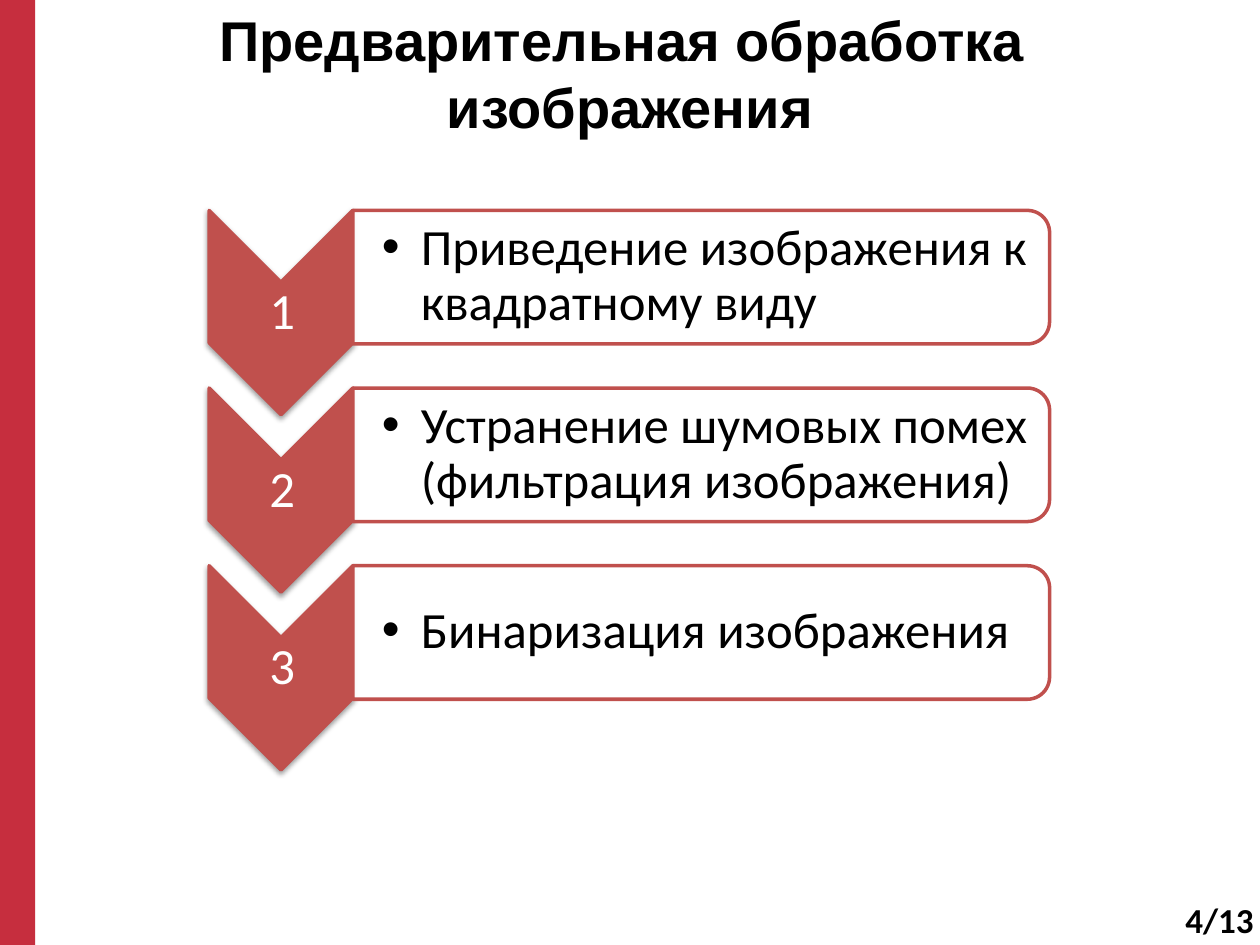
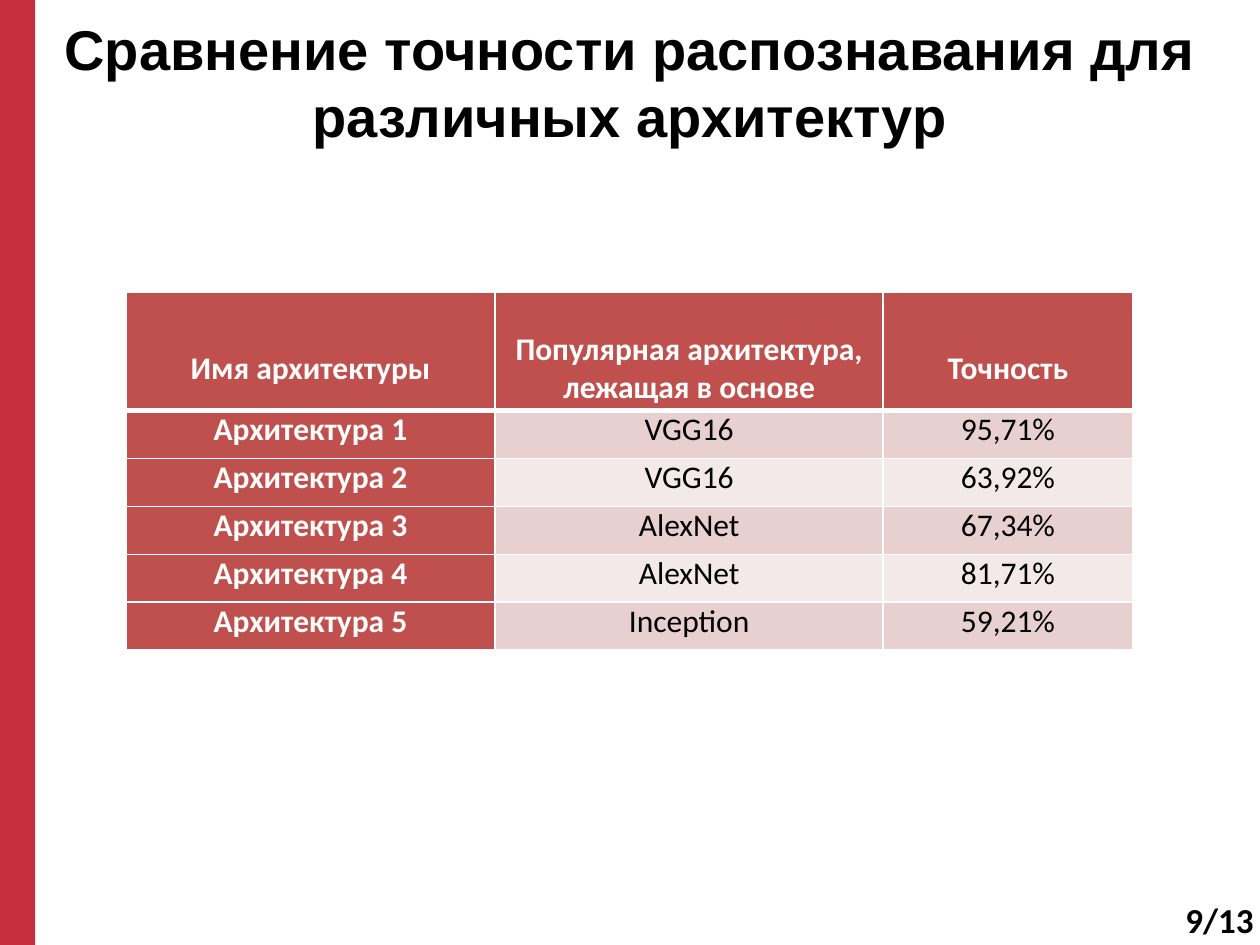
"""Builds two slides on image preprocessing and recognition accuracy."""
from dataclasses import dataclass

from lxml.etree import SubElement
from pptx import Presentation
from pptx.dml.color import RGBColor
from pptx.enum.shapes import MSO_SHAPE
from pptx.enum.text import MSO_ANCHOR, MSO_AUTO_SIZE, PP_ALIGN
from pptx.oxml.ns import qn
from pptx.util import Inches, Pt


@dataclass(frozen=True)
class Theme:
    band: str = "C62E3E"
    accent: str = "C0504D"
    odd_row: str = "E8D0D0"
    even_row: str = "F4E9E9"
    white: str = "FFFFFF"
    black: str = "000000"
    title_font: str = "Arial"
    body_font: str = "Calibri"
    title_size: int = 32
    step_size: int = 29
    page_size: int = 20
    table_size: int = 18


class Deck:
    def __init__(self, theme):
        self.theme = theme
        self.presentation = Presentation()
        self.presentation.slide_width = Inches(10)
        self.presentation.slide_height = Inches(7.5)
        self.slide = None

    def add_text(self, paragraph, text, size, color, bold=False, font=None,
                 align=PP_ALIGN.CENTER):
        paragraph.alignment = align
        run = paragraph.add_run()
        run.text = text
        run.font.name = font or self.theme.body_font
        run.font.size = Pt(size)
        run.font.bold = bold
        run.font.color.rgb = RGBColor.from_string(color)

    def start(self, title_lines, title_top, title_height, page):
        theme = self.theme
        self.slide = self.presentation.slides.add_slide(self.presentation.slide_layouts[5])
        self.shape(MSO_SHAPE.RECTANGLE, 0, 0, 0.28, 7.5, theme.band)
        title = self.slide.shapes.title
        title.left, title.top = Inches(0), Inches(title_top)
        title.width, title.height = Inches(10), Inches(title_height)
        frame = title.text_frame
        frame.auto_size = MSO_AUTO_SIZE.NONE
        frame.vertical_anchor = MSO_ANCHOR.MIDDLE
        for index, line in enumerate(title_lines):
            paragraph = frame.add_paragraph() if index else frame.paragraphs[0]
            self.add_text(paragraph, line, theme.title_size, theme.black, True,
                          theme.title_font)
        self.add_text(self.text_area(8.07, 7.1, 3.17, 0.4), page,
                      theme.page_size, theme.black, True)

    def shape(self, kind, left, top, width, height, fill, outline=None):
        shape = self.slide.shapes.add_shape(
            kind, Inches(left), Inches(top), Inches(width), Inches(height))
        shape.shadow.inherit = False
        shape.fill.solid()
        shape.fill.fore_color.rgb = RGBColor.from_string(fill)
        if outline:
            shape.line.color.rgb = RGBColor.from_string(outline)
            shape.line.width = Pt(2)
        else:
            shape.line.fill.background()
        return shape

    def turned_shape(self, kind, left, top, width, height, fill):
        shift = (width - height) / 2
        shape = self.shape(kind, left + shift, top - shift, height, width,
                           fill, self.theme.accent)
        shape.rotation = 90
        return shape

    def text_area(self, left, top, width, height, left_inset=0.1, inset=0.05):
        frame = self.slide.shapes.add_textbox(
            Inches(left), Inches(top), Inches(width), Inches(height)).text_frame
        frame.word_wrap = True
        frame.vertical_anchor = MSO_ANCHOR.MIDDLE
        frame.margin_left = Inches(left_inset)
        frame.margin_right = frame.margin_top = frame.margin_bottom = Inches(inset)
        return frame.paragraphs[0]

    def cast_shadow(self, shape):
        effects = shape._element.spPr.find(qn("a:effectLst"))
        shadow = SubElement(effects, qn("a:outerShdw"), blurRad=str(Pt(3.1)),
                            dist=str(Pt(1.6)), dir="5400000", rotWithShape="0")
        color = SubElement(shadow, qn("a:srgbClr"), val=self.theme.black)
        SubElement(color, qn("a:alpha"), val="38000")

    def make_translucent(self, shape, percent):
        color = shape._element.spPr.find(qn("a:solidFill")).find(qn("a:srgbClr"))
        SubElement(color, qn("a:alpha"), val=str(percent * 1000))

    def step(self, number, text, top):
        theme = self.theme
        chevron = self.turned_shape(MSO_SHAPE.CHEVRON, 1.66, top, 1.14, 1.62, theme.accent)
        self.cast_shadow(chevron)
        label = self.text_area(1.67, top + 0.57, 1.14, 0.49, 0.02, 0.02)
        label.line_spacing = 0.9
        self.add_text(label, str(number), theme.step_size, theme.white)

        panel = self.turned_shape(MSO_SHAPE.ROUND_2_SAME_RECTANGLE, 2.8, top,
                                  5.53, 1.06, theme.white)
        self.make_translucent(panel, 90)
        item = self.text_area(2.8, top + 0.05, 5.48, 0.95, 0.23, 0.02)
        item.line_spacing = 0.9
        properties = item._p.get_or_add_pPr()
        properties.set("marL", str(Inches(0.31)))
        properties.set("indent", str(Inches(-0.31)))
        SubElement(properties, qn("a:buFont"), typeface=theme.title_font)
        SubElement(properties, qn("a:buChar"), char="•")
        self.add_text(item, text, theme.step_size, theme.black, align=PP_ALIGN.LEFT)

    def cell_borders(self, cell, top, bottom):
        properties = cell._tc.get_or_add_tcPr()
        for side, width in (("L", 1), ("R", 1), ("T", top), ("B", bottom)):
            line = SubElement(properties, qn(f"a:ln{side}"), w=str(Pt(width)))
            fill = SubElement(line, qn("a:solidFill"))
            SubElement(fill, qn("a:srgbClr"), val=self.theme.white)

    def table(self, rows, left, top, column_widths, row_heights):
        theme = self.theme
        table = self.slide.shapes.add_table(
            len(rows), len(column_widths), Inches(left), Inches(top),
            Inches(sum(column_widths)), Inches(sum(row_heights))).table
        table.first_col = True
        for column, width in zip(table.columns, column_widths):
            column.width = Inches(width)
        for row_index, (row, height) in enumerate(zip(rows, row_heights)):
            table.rows[row_index].height = Inches(height)
            band = theme.odd_row if row_index % 2 else theme.even_row
            for column_index, text in enumerate(row):
                cell = table.cell(row_index, column_index)
                emphasized = row_index == 0 or column_index == 0
                self.cell_borders(cell, 3 if row_index == 1 else 1, 1 if row_index else 3)
                cell.fill.solid()
                cell.fill.fore_color.rgb = RGBColor.from_string(
                    theme.accent if emphasized else band)
                cell.margin_left = cell.margin_right = Inches(0.07)
                cell.margin_top = cell.margin_bottom = 0
                self.add_text(cell.text_frame.paragraphs[0], text, theme.table_size,
                              theme.white if emphasized else theme.black, emphasized)
        return table


def main():
    deck = Deck(Theme())

    deck.start(["Предварительная обработка ", "изображения"], 0, 1.15, "4/13")
    steps = [
        "Приведение изображения к квадратному виду",
        "Устранение шумовых помех (фильтрация изображения)",
        "Бинаризация изображения",
    ]
    for index, text in enumerate(steps):
        deck.step(index + 1, text, 1.67 + 1.41 * index)

    deck.start(["Сравнение точности распознавания для различных архитектур"],
               -0.02, 1.33, "9/13")
    results = [("VGG16", "95,71%"), ("VGG16", "63,92%"), ("AlexNet", "67,34%"),
               ("AlexNet", "81,71%"), ("Inception", "59,21%")]
    headings = ("Имя архитектуры", "Популярная архитектура, лежащая в основе", "Точность")
    rows = [headings] + [(f"Архитектура {number}", *result)
                         for number, result in enumerate(results, 1)]
    accuracy = deck.table(rows, 1, 2.32, [2.93, 3.08, 1.98], [0.94] + [0.38] * len(results))
    name_heading, base_heading, accuracy_heading = accuracy.rows[0].cells
    for heading in (name_heading, accuracy_heading):
        heading.text_frame.paragraphs[0].line_spacing = 2.5
    base_heading.margin_top = Inches(0.3)

    deck.presentation.save("out.pptx")


if __name__ == "__main__":
    main()
